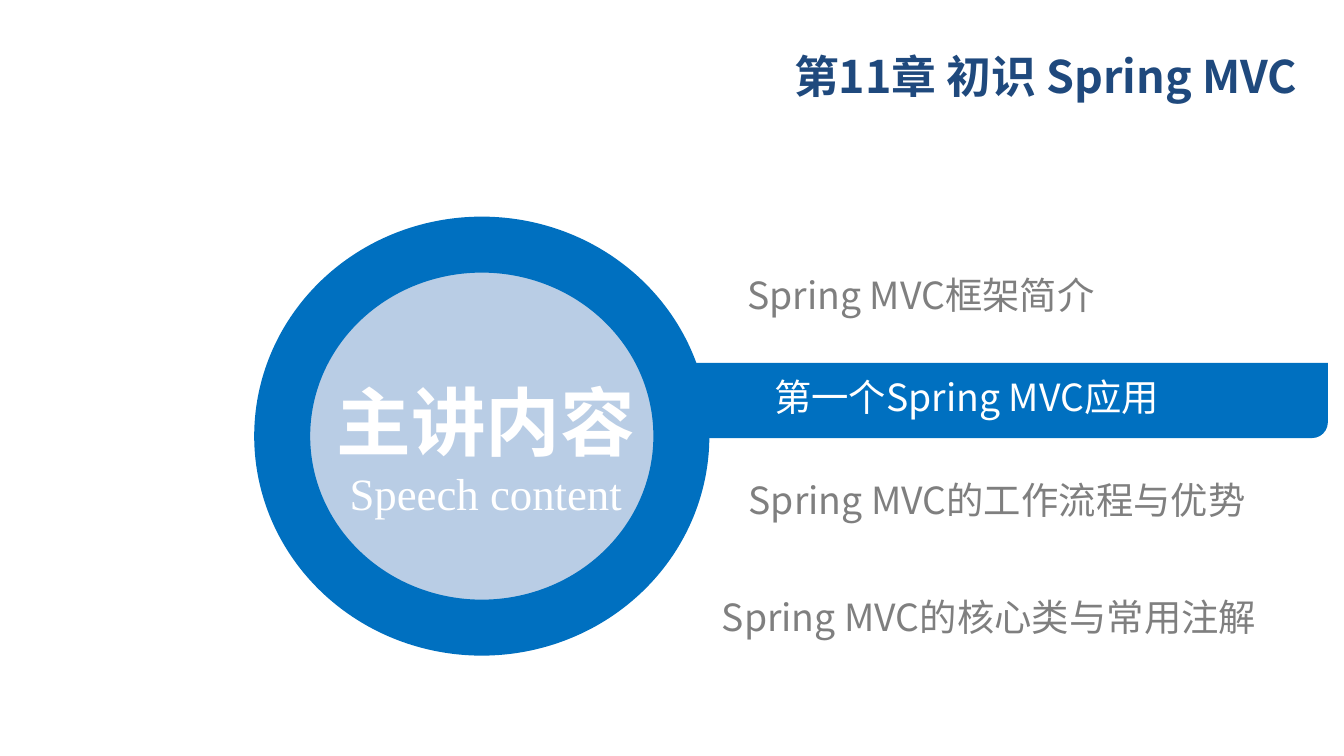
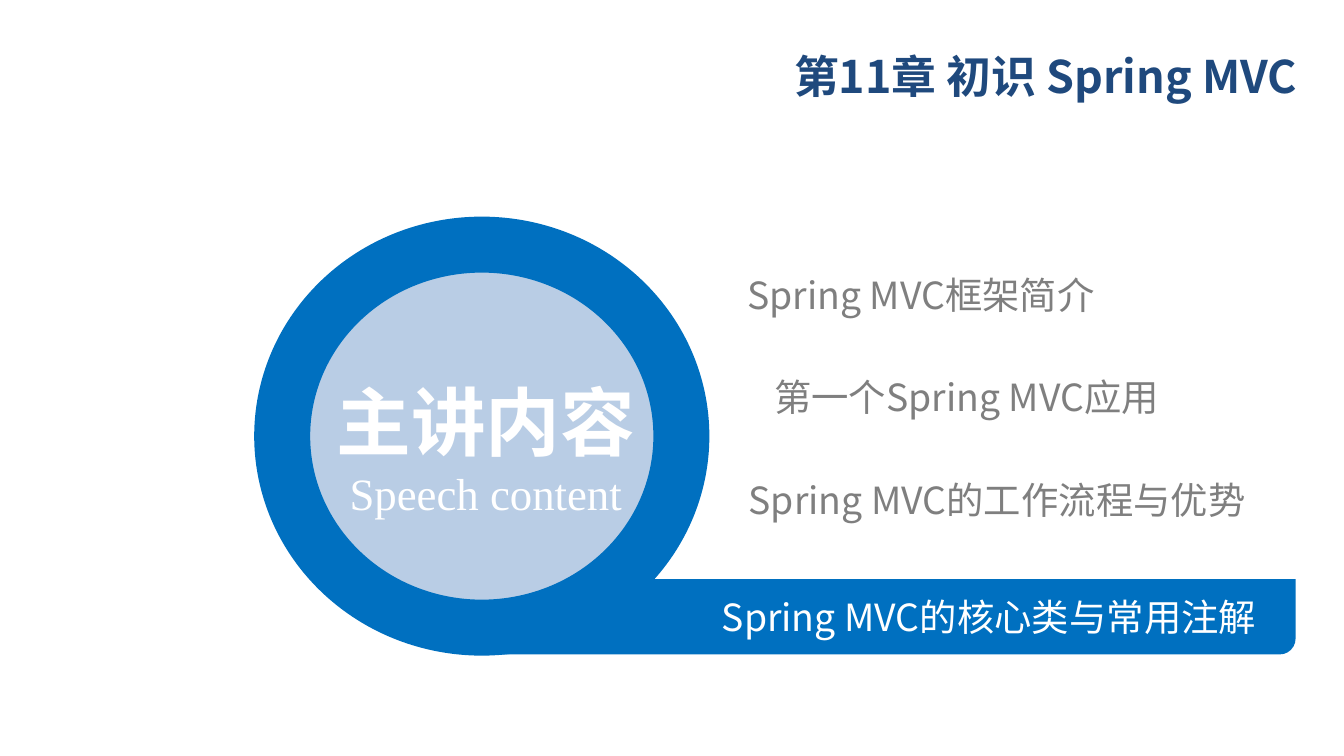
from pptx import Presentation
from pptx.dml.color import RGBColor as Rgb
from pptx.enum.shapes import MSO_SHAPE as Geo
from pptx.enum.text import MSO_ANCHOR as Anchor, PP_ALIGN as Align
from pptx.oxml.ns import qn
from pptx.util import Inches, Pt
from lxml.etree import SubElement

HUES = {"title": "1F497D", "band": "0070C0", "disc": "B9CDE5",
        "on": "FFFFFF", "off": "7F7F7F"}
SANS, SERIF = "Noto Sans CJK SC", "Times New Roman"
TITLE = "第11章 初识 Spring MVC"
ITEMS = [("Spring MVC框架简介", (5.56, 2.02, 3.63, 0.34)),
         ("第一个Spring MVC应用", (5.76, 2.78, 3.63, 0.34)),
         ("Spring MVC的工作流程与优势", (5.57, 3.55, 3.82, 0.34)),
         ("Spring MVC的核心类与常用注解", (5.37, 4.42, 4.12, 0.34))]
PAGES = [(1, (3.9, 2.7, 5.98, 0.56)), (3, (3.66, 4.31, 5.98, 0.56))]


def hue(name):
    """Return a palette colour."""
    return Rgb.from_string(HUES[name])


def write(para, text, size=20, tint="on", face=SANS, bold=False,
          align=Align.LEFT, lead=1.0):
    """Put one formatted run into a paragraph."""
    para.alignment, para.line_spacing = align, lead
    run = para.add_run()
    run.text = text
    font = run.font
    font.size, font.bold, font.name = Pt(size), bold, face
    font.color.rgb = hue(tint)
    SubElement(run._r.get_or_add_rPr(), qn("a:ea"), typeface=face)


def setup(shape, pad=(0, 0)):
    """Prepare a text frame, centred vertically, and return it."""
    frame = shape.text_frame
    frame.word_wrap, frame.vertical_anchor = True, Anchor.MIDDLE
    frame.margin_left = frame.margin_right = Inches(pad[0])
    frame.margin_top = frame.margin_bottom = Inches(pad[1])
    return frame


def add_text(slide, box, pad=(0, 0)):
    """Add a text box and return its frame."""
    return setup(slide.shapes.add_textbox(*map(Inches, box)), pad)


def add_form(slide, kind, box, fill, edge=None):
    """Add a filled preset shape, with a thick edge if one is named."""
    shape = slide.shapes.add_shape(kind, *map(Inches, box))
    shape.shadow.inherit = False
    shape.fill.solid()
    shape.fill.fore_color.rgb = hue(fill)
    if edge:
        shape.line.color.rgb = hue(edge)
        shape.line.width = Pt(30)
    else:
        shape.line.fill.background()
    return shape


def add_title(slide):
    """Place and fill the chapter title."""
    title = slide.shapes.title
    title.left, title.top, title.width, title.height = map(
        Inches, (4.76, 0.25, 4.98, 0.63))
    frame = setup(title, (0.09, 0.04))
    write(frame.paragraphs[0], TITLE, size=24, tint="title", bold=True,
          align=Align.RIGHT)


def add_disc(slide):
    """Draw the ringed disc with its two-line caption."""
    add_form(slide, Geo.OVAL, (2.1, 1.82, 2.97, 2.85), "disc", "band")
    frame = add_text(slide, (2.08, 2.44, 3.07, 1.45), (0.1, 0.05))
    write(frame.paragraphs[0], "主讲内容", size=40, bold=True,
          align=Align.CENTER, lead=1.5)
    write(frame.add_paragraph(), "Speech content", size=24, face=SERIF,
          align=Align.CENTER)


def add_page(deck, pick, box):
    """Build one agenda slide with the picked item on a band."""
    slide = deck.slides.add_slide(deck.slide_layouts[5])
    add_title(slide)
    band = add_form(slide, Geo.ROUND_2_DIAG_RECTANGLE, box, "band")
    band.adjustments[0], band.adjustments[1] = 0.21, 0
    add_disc(slide)
    for num, (text, place) in enumerate(ITEMS):
        frame = add_text(slide, place)
        write(frame.paragraphs[0], text, tint="on" if num == pick else "off")


def main():
    """Build and save the deck."""
    deck = Presentation()
    deck.slide_width = Inches(10)
    deck.slide_height = Inches(10 * 9 / 16)
    for pick, box in PAGES:
        add_page(deck, pick, box)
    deck.save("out.pptx")


if __name__ == "__main__":
    main()
